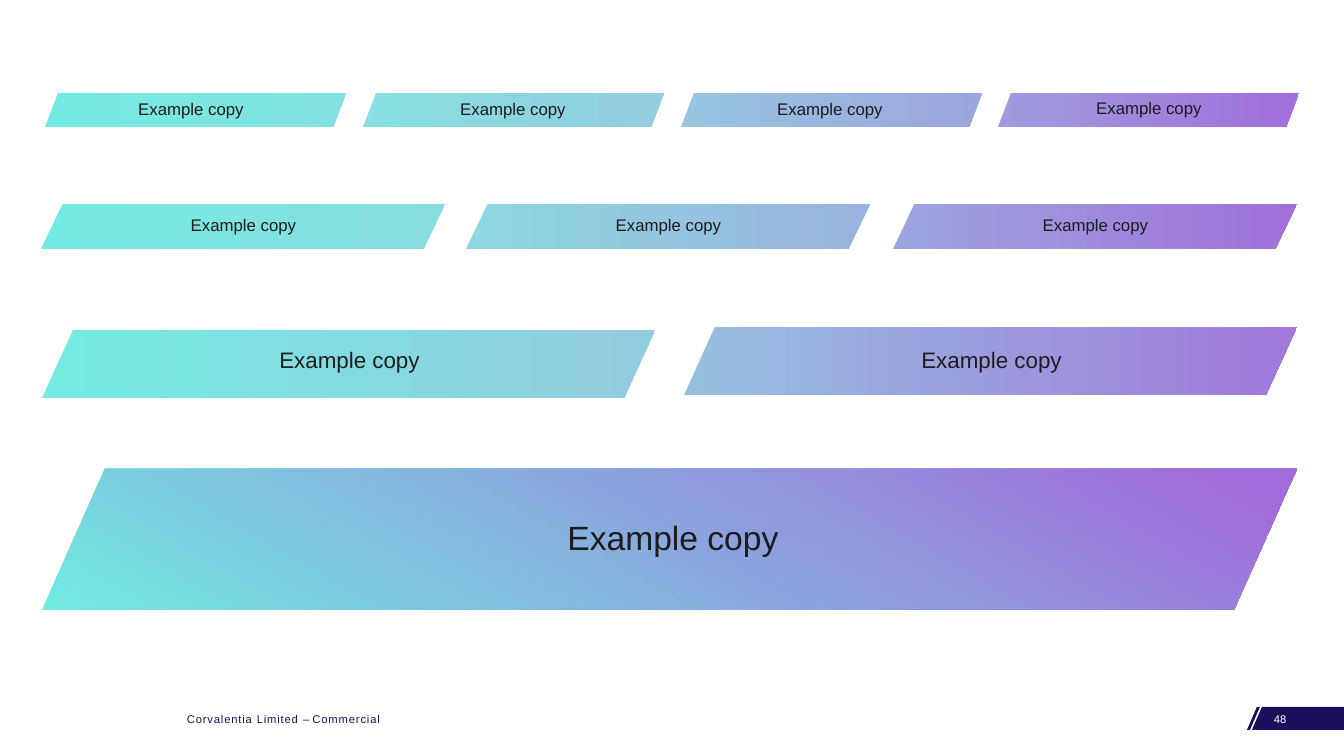
import pptx
import pptx.util
import pptx.dml.color
import pptx.enum.shapes
import pptx.enum.text

COLOURS = {"navy": "1A0F5C", "footer": "19105B", "white": "FFFFFF", "ink": "1D1C1C"}
LABEL = "Example copy"

ROWS = [
    {"size": 12, "bar": (301, 34), "adj": 0.381, "label_width": 298, "items": [
        (45, 93, 42, 93, "73EAE1", "83E2E1", 1),
        (363, 93, 364, 93, "86DFE0", "92CDE0", 1),
        (681, 93, 681, 93, "95C5DF", "9DA5DE", 1),
        (998, 93, 1000, 92, "9E9BDD", "A16FDB", 1)]},
    {"size": 12, "bar": (404, 45), "adj": 0.481, "label_width": 403, "items": [
        (41, 204, 42, 204, "73EAE1", "88DDE0", 1),
        (466, 204, 467, 204, "8DD7E0", "9AB3DE", 1),
        (893, 204, 894, 204, "9DA5DE", "A170DB", 1)]},
    {"size": 16, "bar": (613, 68), "adj": 0.457, "label_width": 617, "items": [
        (42, 330, 41, 327, "74EAE1", "92CCE0", 1),
        (684, 327, 683, 327, "96C0DF", "A178DC", 0.99)]},
]


class Deck:
    FONT = "Arial"
    EMU_PER_PX = 914400 / 100.8

    def __init__(self, width, height):
        self.prs = pptx.Presentation()
        self.prs.slide_width = self.px(width)
        self.prs.slide_height = self.px(height)
        self.s = self.prs.slides.add_slide(self.prs.slide_layouts[6])

    def px(self, n):
        return pptx.util.Emu(round(n * self.EMU_PER_PX))

    def rgb(self, colour):
        return pptx.dml.color.RGBColor.from_string(COLOURS.get(colour, colour))

    def finish(self, sp):
        sp.line.fill.background()
        sp.shadow.inherit = False
        return sp

    def gradient(self, sp, start, end, end_at=1, angle=0):
        sp.fill.gradient()
        sp.fill.gradient_angle = angle
        first, last = sp.fill.gradient_stops
        first.color.rgb = self.rgb(start)
        first.position = 0
        last.color.rgb = self.rgb(end)
        last.position = end_at

    def bar(self, x, y, w, h, adj):
        kind = pptx.enum.shapes.MSO_SHAPE.PARALLELOGRAM
        sp = self.s.shapes.add_shape(kind, *map(self.px, (x, y, w, h)))
        sp.adjustments[0] = adj
        return self.finish(sp)

    def outline(self, *contours):
        builder = None
        for start, *rest in contours:
            if builder is None:
                builder = self.s.shapes.build_freeform(*start, scale=self.EMU_PER_PX)
            else:
                builder.move_to(*start)
            builder.add_line_segments(rest, close=True)
        return self.finish(builder.convert_to_shape())

    def text(self, x, y, w, h, runs, size, colour):
        tf = self.s.shapes.add_textbox(*map(self.px, (x, y, w, h))).text_frame
        tf.word_wrap = True
        p = tf.paragraphs[0]
        for words, spacing in runs:
            r = p.add_run()
            r.text = words
            r.font.name = self.FONT
            r.font.size = pptx.util.Pt(size)
            r.font.color.rgb = self.rgb(colour)
            if spacing:
                r.font._element.set("spc", str(spacing))
        return tf

    def label(self, x, y, w, h, size):
        tf = self.text(x, y, w, h, [(LABEL, 0)], size, "ink")
        tf.vertical_anchor = pptx.enum.text.MSO_ANCHOR.MIDDLE
        p = tf.paragraphs[0]
        p.alignment = pptx.enum.text.PP_ALIGN.CENTER
        p.line_spacing = 0.9

    def save(self):
        self.prs.save("out.pptx")


def main():
    deck = Deck(1344, 756)

    page_tab = deck.outline(
        [(1260, 707), (1257, 707), (1247, 730), (1250, 730)],
        [(1344, 707), (1262, 707), (1252, 730), (1344, 730)])
    page_tab.fill.solid()
    page_tab.fill.fore_color.rgb = deck.rgb("navy")
    deck.text(177, 707, 221, 24,
              [("Corvalentia Limited ", 60), ("– ", 0), ("Commercial", 60)], 8, "footer")
    deck.text(1264, 707, 62, 24, [("48", 0)], 8, "white")

    for row in ROWS:
        w, h = row["bar"]
        for x, y, label_x, label_y, start, end, end_at in row["items"]:
            deck.gradient(deck.bar(x, y, w, h, row["adj"]), start, end, end_at)
            deck.label(label_x, label_y, row["label_width"], h, row["size"])

    banner = deck.outline([(1297, 469), (105, 469), (42, 610), (1234, 610)])
    deck.gradient(banner, "71EAE1", "A16BDB", 0.95, 60)
    deck.label(42, 470, 1262, 140, 24)

    deck.save()


if __name__ == "__main__":
    main()
